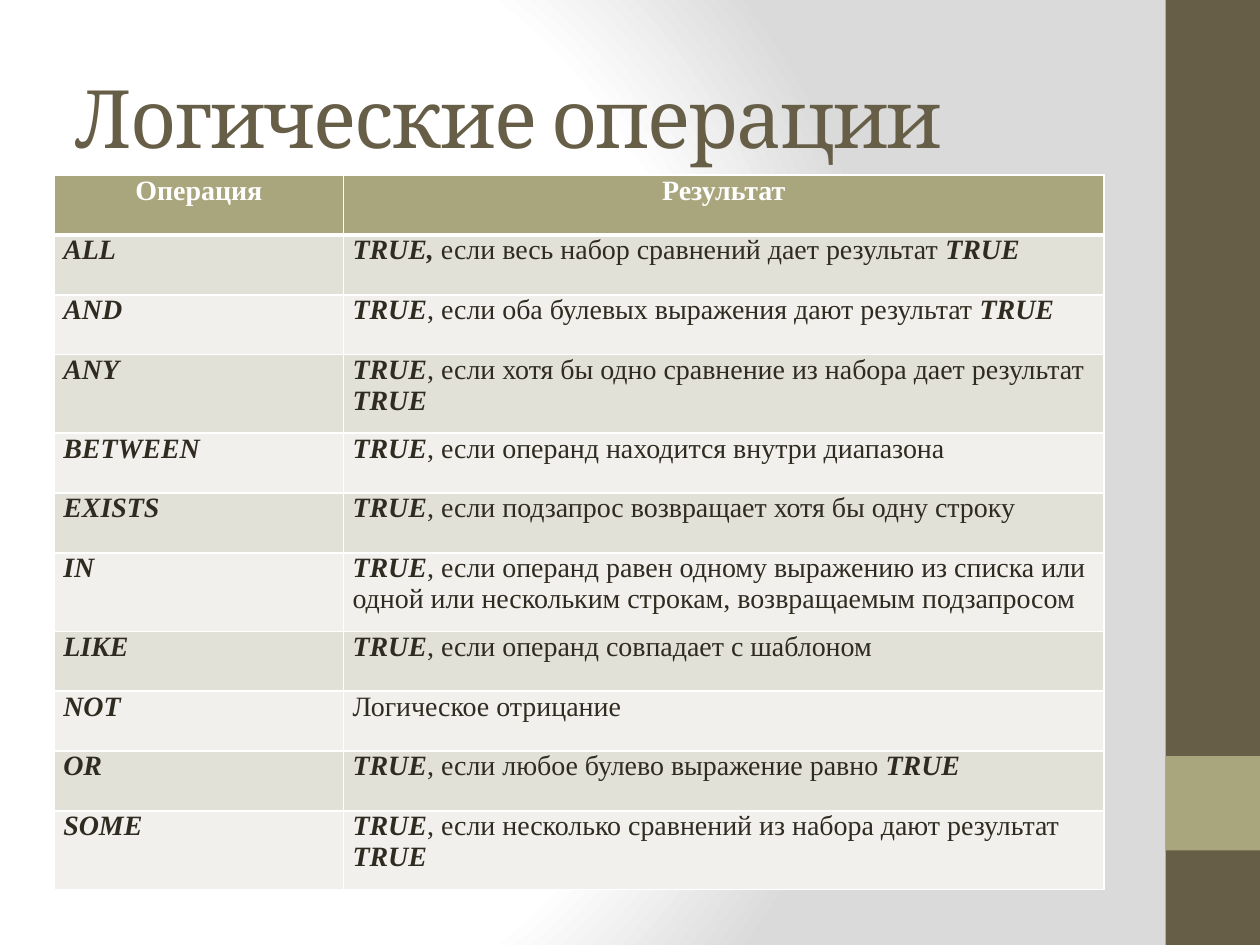
from lxml import etree
from pptx import Presentation
from pptx.dml.color import RGBColor
from pptx.enum.shapes import MSO_SHAPE
from pptx.enum.text import MSO_ANCHOR, MSO_AUTO_SIZE, PP_ALIGN
from pptx.oxml import parse_xml
from pptx.oxml.ns import nsdecls, qn
from pptx.util import Pt

RECT = MSO_SHAPE.RECTANGLE
MIDDLE, TOP = MSO_ANCHOR.MIDDLE, MSO_ANCHOR.TOP
NO_FIT = MSO_AUTO_SIZE.NONE
LEFT, CENTER = PP_ALIGN.LEFT, PP_ALIGN.CENTER

BROWN = RGBColor(0x67, 0x5E, 0x47)
OLIVE = RGBColor(0xA9, 0xA5, 0x7C)
WHITE = RGBColor(0xFF, 0xFF, 0xFF)
GREY = RGBColor(0xDA, 0xDA, 0xDA)
INK = RGBColor(0x2F, 0x2B, 0x20)
BANDS = (RGBColor(0xE2, 0xE1, 0xD7), RGBColor(0xF1, 0xF0, 0xEC))

TITLE_FONT = {"name": "Cambria", "size": Pt(46), "bold": False}
CELL_FONT = {"name": "Times New Roman", "size": Pt(16)}
CELL_FORMAT = {"margin_left": Pt(5.2), "margin_right": Pt(5.2),
               "margin_top": 0, "margin_bottom": 0, "vertical_anchor": TOP}

COLUMNS = (165.3, 434.7)
ROW, TALL_ROW = 34.2, 44.9
TALL = ("ANY", "IN", "SOME")
HEADER = ("Операция", "Результат")
OPERATIONS = (
    ("ALL", "*TRUE,* если весь набор сравнений дает результат *TRUE*"),
    ("AND", "*TRUE*, если оба булевых выражения дают результат *TRUE*"),
    ("ANY", "*TRUE*, если хотя бы одно сравнение из набора дает результат* TRUE*"),
    ("BETWEEN", "*TRUE*, если операнд находится внутри диапазона"),
    ("EXISTS", "*TRUE*, если подзапрос возвращает хотя бы одну строку"),
    ("IN", "*TRUE*, если операнд равен одному выражению из списка или "
           "одной или нескольким строкам, возвращаемым подзапросом"),
    ("LIKE", "*TRUE*, если операнд совпадает с шаблоном"),
    ("NOT", "Логическое отрицание"),
    ("OR", "*TRUE*, если любое булево выражение равно *TRUE*"),
    ("SOME", "*TRUE*, если несколько сравнений из набора дают результат* TRUE*"),
)


def apply(target, values):
    for name, value in values.items():
        setattr(target, name, value)


def add_run(p, text, color, values):
    r = p.add_run()
    r.text = text
    apply(r.font, values)
    r.font.color.rgb = color
    return r


def set_background(s):
    s.background.fill.solid()
    bg = s._element.find(".//" + qn("p:bgPr"))
    stops = "".join(
        f'<a:gs pos="{pos}"><a:srgbClr val="{color}"/></a:gs>'
        for pos, color in ((0, WHITE), (75000, WHITE), (100000, GREY)))
    bg.replace(bg[0], parse_xml(
        f'<a:gradFill {nsdecls("a")} rotWithShape="1"><a:gsLst>{stops}</a:gsLst>'
        '<a:path path="circle"><a:fillToRect l="20000" t="50000" r="100000" '
        'b="50000"/></a:path></a:gradFill>'))


def add_block(s, top, height, color):
    sp = s.shapes.add_shape(RECT, Pt(666), Pt(top), Pt(54), Pt(height))
    sp.shadow.inherit = False
    sp.fill.solid()
    sp.fill.fore_color.rgb = color
    sp.line.fill.background()


def add_title(s, text):
    sp = s.shapes.title
    s.shapes._spTree.append(sp._element)
    apply(sp, {"left": Pt(36), "top": Pt(21.6), "width": Pt(600), "height": Pt(90)})
    tf = sp.text_frame
    apply(tf, {"word_wrap": True, "auto_size": NO_FIT, "vertical_anchor": MIDDLE})
    p = tf.paragraphs[0]
    p.alignment = LEFT
    r = add_run(p, text, BROWN, TITLE_FONT)
    r.font._element.set("spc", "-100")


def set_borders(cell, widths):
    tcPr = cell._tc.get_or_add_tcPr()
    for i, (side, width) in enumerate(zip("LRTB", widths)):
        ln = etree.Element(qn(f"a:ln{side}"), w=str(Pt(width)))
        fill = etree.SubElement(ln, qn("a:solidFill"))
        etree.SubElement(fill, qn("a:srgbClr"), val=str(WHITE))
        tcPr.insert(i, ln)


def fill_cell(cell, text, fill, color, align, plain, widths):
    apply(cell, CELL_FORMAT)
    cell.fill.solid()
    cell.fill.fore_color.rgb = fill
    set_borders(cell, widths)
    p = cell.text_frame.paragraphs[0]
    p.alignment = align
    for i, part in enumerate(text.split("*")):
        if part:
            strong = i % 2 == 1
            add_run(p, part, color, {**CELL_FONT, "bold": strong or plain == "bold",
                                     "italic": strong})


def add_operations(s):
    heights = [ROW] + [TALL_ROW if name in TALL else ROW for name, _ in OPERATIONS]
    table = s.shapes.add_table(len(heights), len(COLUMNS), Pt(31), Pt(100.1),
                               Pt(sum(COLUMNS)), Pt(sum(heights))).table
    for column, width in zip(table.columns, COLUMNS):
        column.width = Pt(width)
    for row, height in zip(table.rows, heights):
        row.height = Pt(height)
    for cell, text in zip(table.rows[0].cells, HEADER):
        fill_cell(cell, text, OLIVE, WHITE, CENTER, "bold", (1, 1, 1, 3))
    for i, (name, result) in enumerate(OPERATIONS):
        widths = (1, 1, 1 if i else 3, 1)
        for cell, text in zip(table.rows[i + 1].cells, (f"*{name}*", result)):
            fill_cell(cell, text, BANDS[i % 2], INK, LEFT, "regular", widths)


def main():
    prs = Presentation()
    apply(prs, {"slide_width": Pt(720), "slide_height": Pt(540)})
    s = prs.slides.add_slide(prs.slide_layouts[5])
    set_background(s)
    add_block(s, 0, 540, BROWN)
    add_block(s, 432, 54, OLIVE)
    add_title(s, "Логические операции")
    add_operations(s)
    prs.save("out.pptx")


main()
